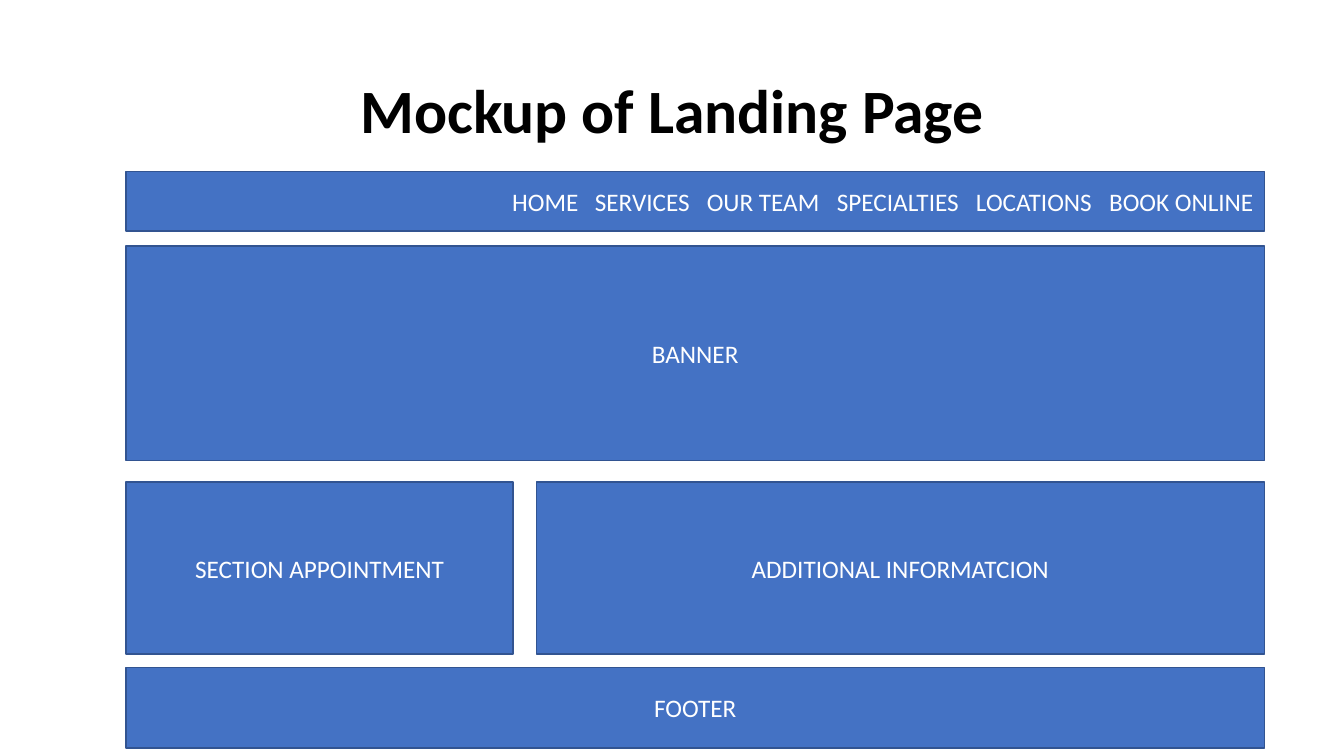
from lxml import etree
from pptx import Presentation
from pptx.dml.color import RGBColor
from pptx.enum.shapes import MSO_SHAPE
from pptx.enum.text import MSO_ANCHOR, PP_ALIGN
from pptx.oxml.ns import qn
from pptx.util import Inches, Pt

RECTANGLE = MSO_SHAPE.RECTANGLE
MIDDLE = MSO_ANCHOR.MIDDLE
LEFT, CENTER = PP_ALIGN.LEFT, PP_ALIGN.CENTER

COLORS = {"title": "000000", "block": "4472C4", "border": "325491", "label": "FFFFFF"}
FONT = "Calibri"
TITLE_ONLY = 5

# Page grid in inches: column edges and (top, height) of each row
PAGE_LEFT, PAGE_RIGHT = 1.25, 12.54
ASIDE_RIGHT, MAIN_LEFT = 5.09, 5.32
ROWS = {"nav": (1.7, 0.59), "banner": (2.44, 2.13),
        "content": (4.78, 1.71), "footer": (6.62, 0.8)}

MENU = ["HOME", "SERVICES", "OUR TEAM", "SPECIALTIES", "LOCATIONS", "BOOK ONLINE"]
MENU_INSET = 3.83
MENU_STOPS = [0.82, 1.93, 3.22, 4.6, 5.92]


def write_text(shape, text, size=18, color="label", bold=False, align=CENTER,
               line_spacing=None, tab_stops=()):
    frame = shape.text_frame
    frame.word_wrap = True
    frame.vertical_anchor = MIDDLE
    paragraph = frame.paragraphs[0]
    paragraph.text = text
    paragraph.alignment = align
    if line_spacing:
        paragraph.line_spacing = line_spacing
    if tab_stops:
        properties = paragraph._p.get_or_add_pPr()
        tab_list = etree.SubElement(properties, qn("a:tabLst"))
        for stop in tab_stops:
            etree.SubElement(tab_list, qn("a:tab"), pos=str(Inches(stop)), algn="l")
    font = paragraph.runs[0].font
    font.name, font.size, font.bold = FONT, Pt(size), bold
    font.color.rgb = RGBColor.from_string(COLORS[color])


class Mockup:
    """Holds the slide and the style of its page blocks."""

    def __init__(self, presentation):
        self.slide = presentation.slides.add_slide(presentation.slide_layouts[TITLE_ONLY])

    def title(self, text):
        title = self.slide.shapes.title
        title.left, title.top = Inches(0.92), Inches(0.4)
        title.width, title.height = Inches(11.5), Inches(1.45)
        write_text(title, text, size=44, color="title", bold=True, line_spacing=0.9)

    def block(self, row, text, left=PAGE_LEFT, right=PAGE_RIGHT, **text_format):
        top, height = ROWS[row]
        shape = self.slide.shapes.add_shape(
            RECTANGLE, Inches(left), Inches(top), Inches(right - left), Inches(height))
        shape.shadow.inherit = False
        shape.fill.solid()
        shape.fill.fore_color.rgb = RGBColor.from_string(COLORS["block"])
        shape.line.color.rgb = RGBColor.from_string(COLORS["border"])
        shape.line.width = Pt(1)
        write_text(shape, text, **text_format)
        return shape

    def menu(self, row, entries):
        bar = self.block(row, "\t".join(entries), align=LEFT, tab_stops=MENU_STOPS)
        bar.text_frame.margin_left = Inches(MENU_INSET)
        bar.text_frame.margin_right = 0


def main():
    presentation = Presentation()
    presentation.slide_width, presentation.slide_height = Inches(13.33), Inches(7.5)
    mockup = Mockup(presentation)

    # Heading and navigation
    mockup.title("Mockup of Landing Page")
    mockup.menu("nav", MENU)

    # Page body
    mockup.block("banner", "BANNER")
    mockup.block("content", "SECTION APPOINTMENT", right=ASIDE_RIGHT)
    mockup.block("content", "ADDITIONAL INFORMATCION", left=MAIN_LEFT)
    mockup.block("footer", "FOOTER")

    presentation.save("out.pptx")


if __name__ == "__main__":
    main()
